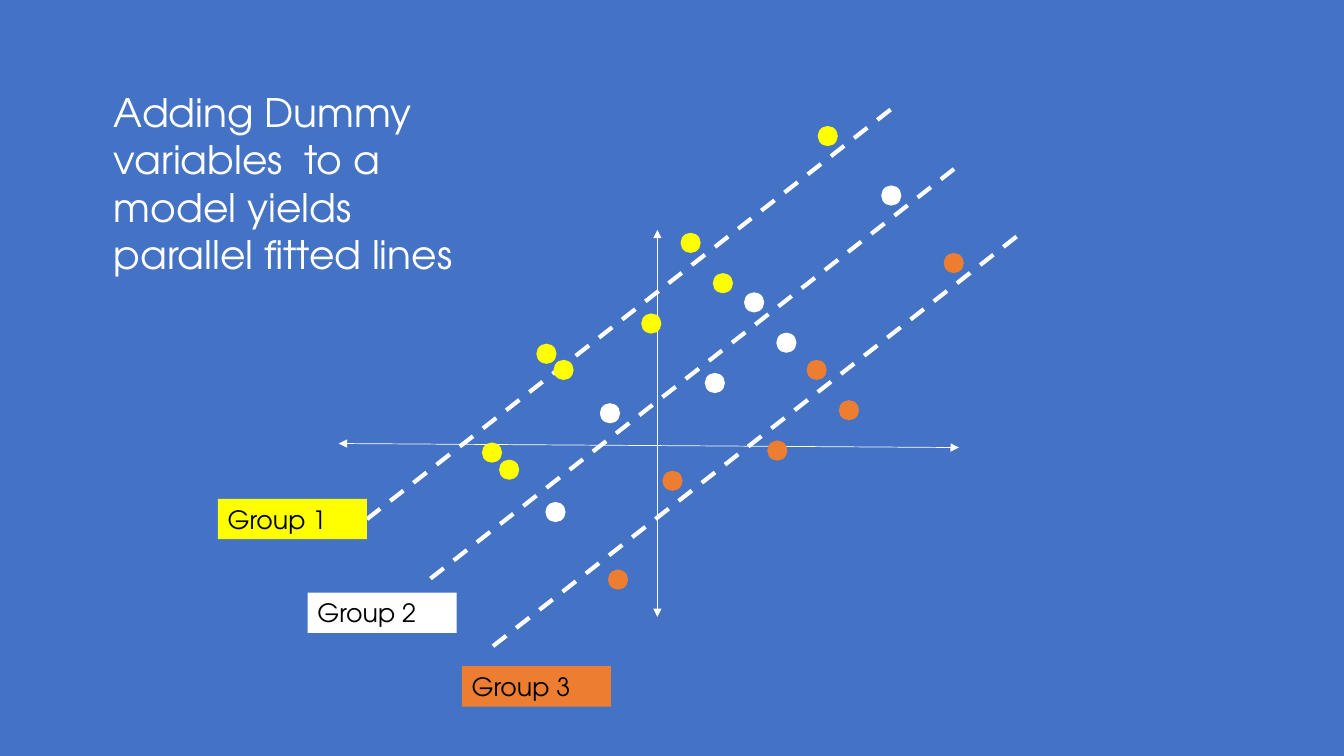
from lxml.etree import SubElement
from pptx import Presentation
from pptx.dml.color import RGBColor
from pptx.enum.dml import MSO_LINE
from pptx.enum.shapes import MSO_CONNECTOR, MSO_SHAPE
from pptx.enum.text import MSO_ANCHOR, MSO_AUTO_SIZE, PP_ALIGN
from pptx.oxml.ns import qn
from pptx.util import Inches, Pt

FONT = "TeX Gyre Adventor"
BLUE, WHITE, BLACK = "4472C4", "FFFFFF", "000000"
TITLE = "Adding Dummy variables  to a model yields parallel fitted lines"
AXES = [((6.52, 2.28), (6.52, 6.12)), ((3.36, 4.4), (9.51, 4.44))]
RUN, RISE, DOT = 5.24, 4.1, 0.2
DOTS = [(3.11, 2.84), (3.43, 2.44), (2.72, 2.04),
        (1.68, 1.74), (1.14, 0.76), (4.47, 3.9)]
EXTRA = [(1.85, 1.58), (1.31, 0.59)]
GROUPS = [
    {"name": "Group 2", "fill": WHITE, "start": (4.27, 5.74),
     "label": (3.05, 5.88), "dots": DOTS},
    {"name": "Group 1", "fill": "FFFF00", "start": (3.64, 5.15),
     "label": (2.16, 4.95), "dots": DOTS + EXTRA},
    {"name": "Group 3", "fill": "ED7D31", "start": (4.89, 6.41),
     "label": (4.58, 6.61), "dots": DOTS},
]


def color(text):
    return RGBColor.from_string(text)


def write(frame, text, size, tint):
    frame.word_wrap = True
    frame.auto_size = MSO_AUTO_SIZE.NONE
    frame.vertical_anchor = MSO_ANCHOR.TOP
    para = frame.paragraphs[0]
    para.alignment = PP_ALIGN.LEFT
    run = para.add_run()
    run.text = text
    run.font.name = FONT
    run.font.size = Pt(size)
    run.font.color.rgb = color(tint)


def draw_line(slide, start, end, width):
    line = slide.shapes.add_connector(
        MSO_CONNECTOR.STRAIGHT, *map(Inches, start + end))
    line.line.color.rgb = color(WHITE)
    line.line.width = Pt(width)
    SubElement(line._element.spPr, qn("a:effectLst"))
    return line


def draw_axis(slide, start, end):
    axis = draw_line(slide, start, end, 0.5)
    for tag in ("a:headEnd", "a:tailEnd"):
        SubElement(axis.line._get_or_add_ln(), qn(tag), type="triangle")


def draw_shape(slide, kind, box, fill):
    shape = slide.shapes.add_shape(kind, *map(Inches, box))
    shape.shadow.inherit = False
    shape.fill.solid()
    shape.fill.fore_color.rgb = color(fill)
    shape.line.fill.background()
    return shape


def draw_fit(slide, group):
    left, base = group["start"]
    fit = draw_line(slide, (left, base), (left + RUN, base - RISE), 3)
    fit.line.dash_style = MSO_LINE.DASH
    for over, up in group["dots"]:
        box = (left + over, base - up, DOT, DOT)
        draw_shape(slide, MSO_SHAPE.OVAL, box, group["fill"])


def draw_label(slide, group):
    box = group["label"] + (1.48, 0.4)
    label = draw_shape(slide, MSO_SHAPE.RECTANGLE, box, group["fill"])
    write(label.text_frame, group["name"], 18, BLACK)


def main():
    """Build the slide of parallel fitted lines."""
    deck = Presentation()
    deck.slide_width, deck.slide_height = Inches(13.33), Inches(7.5)
    slide = deck.slides.add_slide(deck.slide_layouts[5])
    slide.background.fill.solid()
    slide.background.fill.fore_color.rgb = color(BLUE)

    title = slide.shapes.title
    title.left, title.top = Inches(1.03), Inches(0.83)
    title.width, title.height = Inches(3.95), Inches(1.99)
    write(title.text_frame, TITLE, 28, WHITE)

    for start, end in AXES:
        draw_axis(slide, start, end)
    for group in GROUPS:
        draw_fit(slide, group)
        draw_label(slide, group)
    deck.save("out.pptx")


if __name__ == "__main__":
    main()
